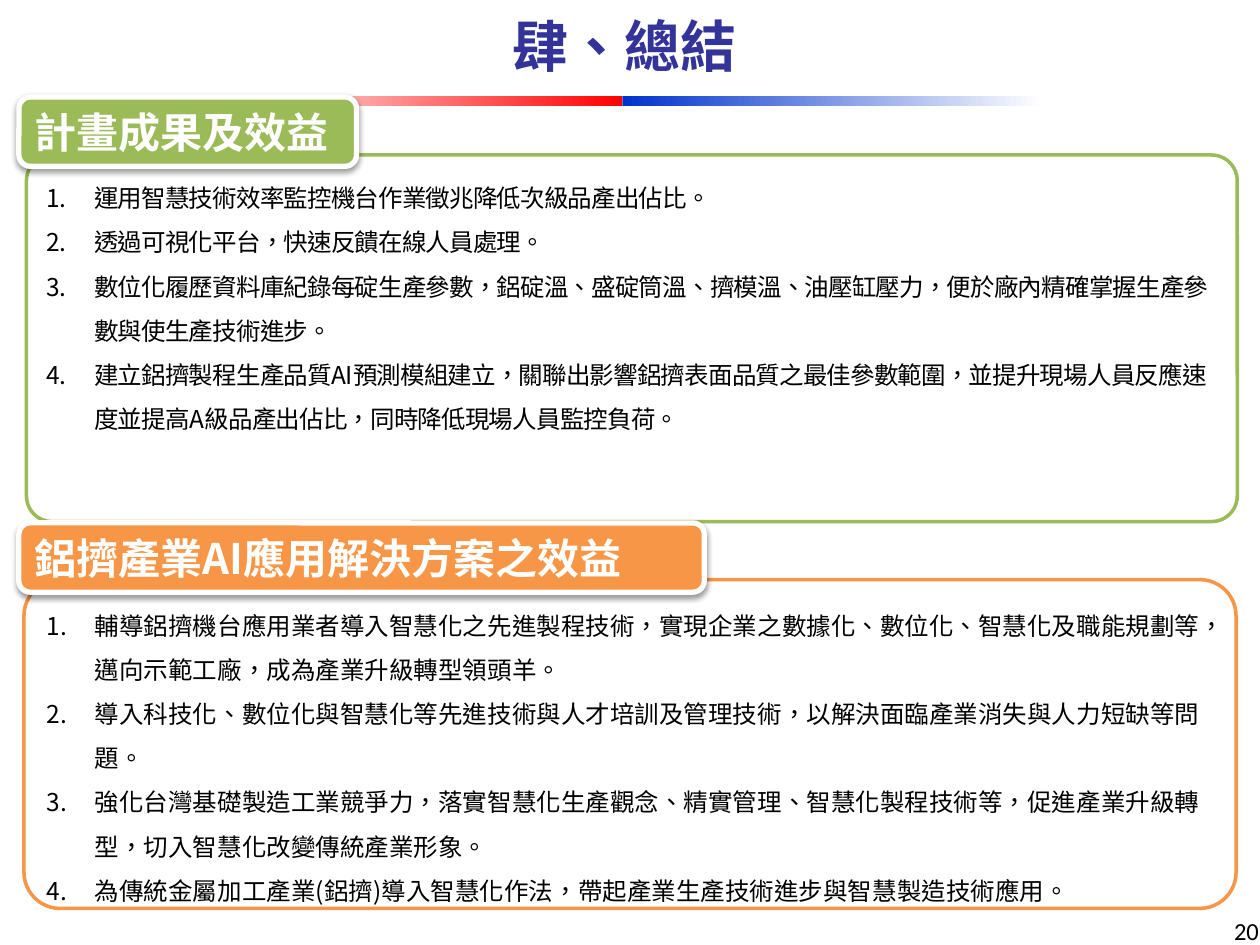
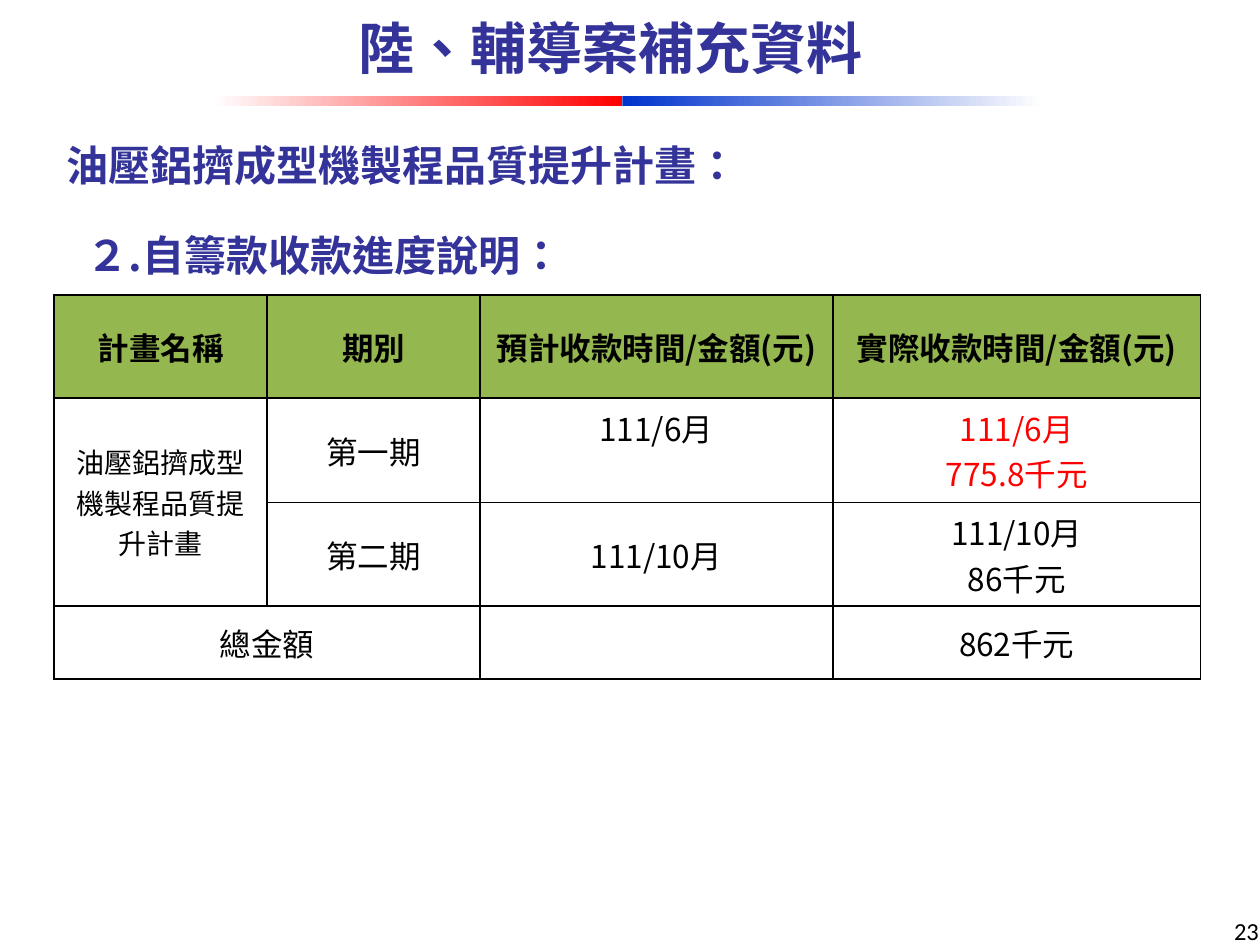
from lxml.etree import SubElement as Sub
from pptx import Presentation
from pptx.dml.color import RGBColor as RGB
from pptx.enum.shapes import MSO_SHAPE as Shape
from pptx.enum.text import MSO_ANCHOR as Anchor, MSO_AUTO_SIZE as Fit, PP_ALIGN as Align
from pptx.oxml.ns import qn
from pptx.util import Pt

PX = 9144  # EMU per px, 100 px to the inch
FONT = "Noto Sans CJK SC"
LANG = "zh-TW"

WHITE = RGB(0xFF, 0xFF, 0xFF)
BLACK = RGB(0, 0, 0)
RED = RGB(0xFF, 0, 0)
BLUE = RGB(0, 0x33, 0xCC)
NAVY = RGB(0x33, 0x33, 0x99)
GREEN = RGB(0x9B, 0xBB, 0x59)
ORANGE = RGB(0xF7, 0x96, 0x46)
HEAD = RGB(0x95, 0xB7, 0x4F)

RESULTS = [
    "運用智慧技術效率監控機台作業徵兆降低次級品產出佔比。",
    "透過可視化平台，快速反饋在線人員處理。",
    "數位化履歷資料庫紀錄每碇生產參數，鋁碇溫、盛碇筒溫、擠模溫、油壓缸壓力，便於廠內精確掌握生產參數與使生產技術進步。",
    "建立鋁擠製程生產品質AI預測模組建立，關聯出影響鋁擠表面品質之最佳參數範圍，並提升現場人員反應速度並提高A級品產出佔比，同時降低現場人員監控負荷。",
]
BENEFITS = [
    "輔導鋁擠機台應用業者導入智慧化之先進製程技術，實現企業之數據化、數位化、智慧化及職能規劃等，邁向示範工廠，成為產業升級轉型領頭羊。",
    "導入科技化、數位化與智慧化等先進技術與人才培訓及管理技術，以解決面臨產業消失與人力短缺等問題。",
    "強化台灣基礎製造工業競爭力，落實智慧化生產觀念、精實管理、智慧化製程技術等，促進產業升級轉型，切入智慧化改變傳統產業形象。",
    "為傳統金屬加工產業(鋁擠)導入智慧化作法，帶起產業生產技術進步與智慧製造技術應用。",
]
PAYMENTS = [
    ["計畫名稱", "期別", "預計收款時間/金額(元)", "實際收款時間/金額(元)"],
    ["油壓鋁擠成型機製程品質提升計畫", "第一期", "111/6月", "111/6月\v775.8千元"],
    ["", "第二期", "111/10月", "111/10月\v86千元"],
    ["總金額", "", "", "862千元"],
]


def scale(*sizes):
    return [size * PX for size in sizes]


class Deck:
    def __init__(self):
        self.prs = Presentation()
        self.prs.slide_width, self.prs.slide_height = scale(1000, 750)
        self.slide = None

    def style(self, frame, size, color, bold=False, align=Align.LEFT,
              space=None, font=FONT, track=0):
        for par in frame.paragraphs:
            par.alignment = align
            if space:
                par.line_spacing = space
            face = par.font
            face.size, face.bold, face.name = Pt(size), bold, font
            face.color.rgb = color
            Sub(face._element, qn("a:ea"), typeface=font)
            if track:
                face._element.set("spc", str(track))
            for run in par.runs:
                run.font._element.set("lang", LANG)

    def start(self, title, at, number, space=None):
        """Add a slide with its title, colour band and page number."""
        self.slide = self.prs.slides.add_slide(self.prs.slide_layouts[5])
        head = self.slide.shapes.title
        head.left, head.top, head.width, head.height = scale(*at)
        frame = head.text_frame
        frame.text = title
        frame.auto_size = Fit.NONE
        frame.vertical_anchor = Anchor.MIDDLE
        self.style(frame, 32, NAVY, True, Align.CENTER, space)
        self.fade((169, 76, 325, 8), WHITE, RED)
        self.fade((494, 76, 333, 8), BLUE, WHITE)
        self.text(number, (961, 722, 48, 28), 14, BLACK,
                  align=Align.RIGHT, font="Calibri")

    def shape(self, kind, at):
        item = self.slide.shapes.add_shape(kind, *scale(*at))
        item.shadow.inherit = False
        return item

    def fade(self, at, *colors):
        bar = self.shape(Shape.RECTANGLE, at)
        bar.line.fill.background()
        bar.fill.gradient()
        bar.fill.gradient_angle = 0
        for stop, color in zip(bar.fill.gradient_stops, colors):
            stop.color.rgb = color

    def round(self, at, fill, edge, width, text, anchor):
        item = self.shape(Shape.ROUNDED_RECTANGLE, at)
        item.fill.solid()
        item.fill.fore_color.rgb = fill
        item.line.color.rgb = edge
        item.line.width = Pt(width)
        item.text_frame.text = text
        item.text_frame.word_wrap = True
        item.text_frame.vertical_anchor = anchor
        return item

    def panel(self, at, color, curve, points, track=0):
        """Add an outlined box with a numbered list."""
        box = self.round(at, WHITE, color, 2, "\n".join(points), Anchor.TOP)
        box.adjustments[0] = curve
        for par in box.text_frame.paragraphs:
            props = par._p.get_or_add_pPr()
            props.set("marL", str(38 * PX))
            props.set("indent", str(-38 * PX))
            Sub(props, qn("a:buAutoNum"), type="arabicPeriod")
        self.style(box.text_frame, 14, BLACK, space=1.5, track=track)

    def label(self, text, at, color):
        tab = self.round(at, color, WHITE, 3, text, Anchor.MIDDLE)
        self.style(tab.text_frame, 24, WHITE, True)
        effects = tab._element.spPr.find(qn("a:effectLst"))
        shade = Sub(effects, qn("a:outerShdw"), blurRad="40000", dist="20000",
                    dir="5400000", rotWithShape="0")
        tint = Sub(shade, qn("a:srgbClr"), val=str(BLACK))
        Sub(tint, qn("a:alpha"), val="38000")

    def text(self, text, at, size, color, **look):
        frame = self.slide.shapes.add_textbox(*scale(*at)).text_frame
        frame.word_wrap = True
        frame.text = text
        self.style(frame, size, color, **look)

    def border(self, cell):
        props = cell._tc.get_or_add_tcPr()
        for side in ("lnL", "lnR", "lnT", "lnB"):
            line = Sub(props, qn("a:" + side), w=str(Pt(1)))
            Sub(Sub(line, qn("a:solidFill")), qn("a:srgbClr"), val=str(BLACK))

    def table(self, rows, left, top, widths, heights):
        frame = self.slide.shapes.add_table(
            len(rows), len(widths),
            *scale(left, top, sum(widths), sum(heights)))
        grid = frame.table
        grid.horz_banding = False
        for col, width in zip(grid.columns, widths):
            col.width = width * PX
        for row, height in zip(grid.rows, heights):
            row.height = height * PX
        for r, row in enumerate(rows):
            for c, text in enumerate(row):
                cell = grid.cell(r, c)
                self.border(cell)
                cell.fill.solid()
                cell.fill.fore_color.rgb = WHITE if r else HEAD
                cell.vertical_anchor = Anchor.MIDDLE
                cell.text = text
                self.style(cell.text_frame, 18, BLACK, r == 0, Align.CENTER)
        return grid


def summary(deck):
    deck.start("肆、總結", (35, 4, 921, 63), "20")
    deck.panel((21, 123, 961, 291), GREEN, 0.07, RESULTS, track=-50)
    deck.label("計畫成果及效益", (15, 77, 268, 55), GREEN)
    deck.panel((19, 460, 962, 261), ORANGE, 0.11, BENEFITS)
    deck.label("鋁擠產業AI應用解決方案之效益", (15, 415, 544, 55), ORANGE)


def payments(deck):
    deck.start("陸、輔導案補充資料", (122, 3, 725, 67), "23", Pt(40))
    grid = deck.table(PAYMENTS, 43, 234, (169, 169, 280, 292), (82, 83, 82, 58))
    grid.cell(1, 0).merge(grid.cell(2, 0))
    grid.cell(3, 0).merge(grid.cell(3, 1))
    grid.cell(1, 0).text_frame.paragraphs[0].font.size = Pt(16)
    grid.cell(1, 2).vertical_anchor = Anchor.TOP
    grid.cell(1, 3).text_frame.paragraphs[0].font.color.rgb = RED
    for text, at in (("油壓鋁擠成型機製程品質提升計畫：", (43, 90, 724, 66)),
                     ("２.自籌款收款進度說明：", (59, 162, 500, 66))):
        deck.text(text, at, 24, NAVY, bold=True, space=Pt(40))


def main():
    deck = Deck()
    summary(deck)
    payments(deck)
    deck.prs.save("out.pptx")


if __name__ == "__main__":
    main()
